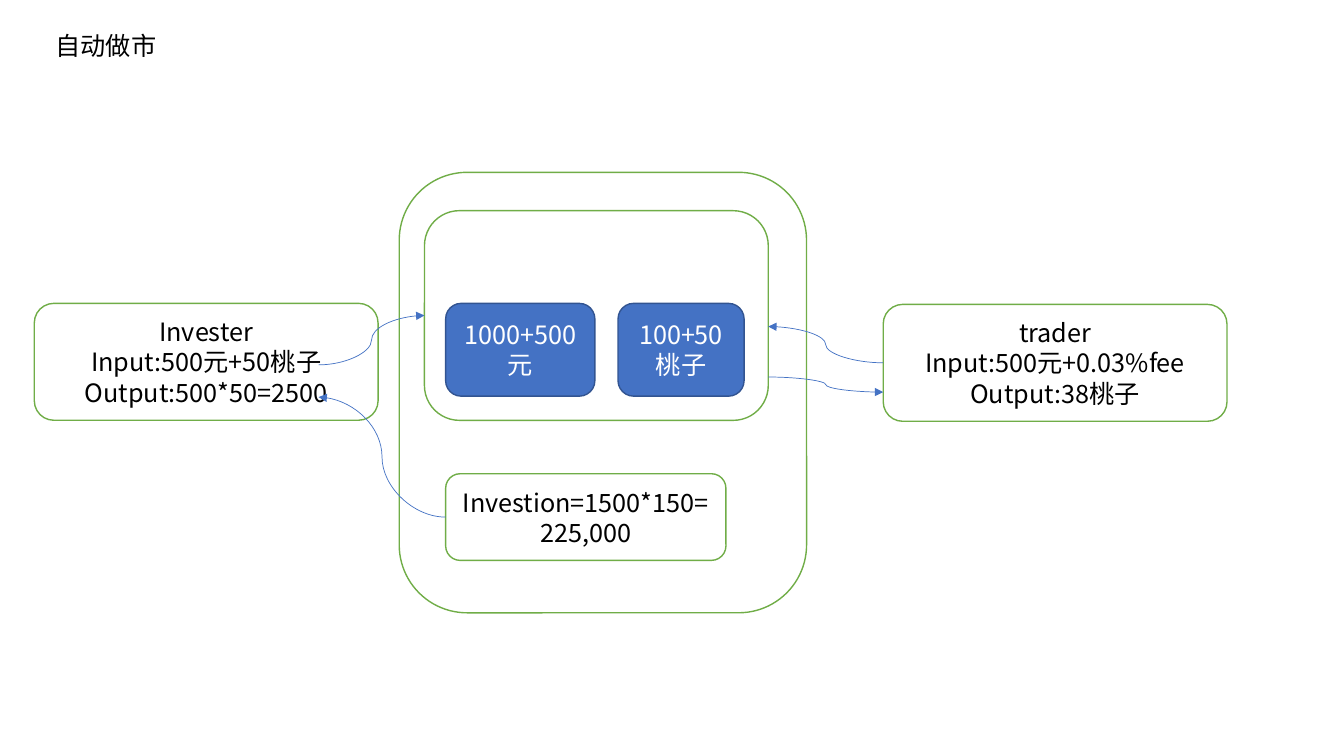
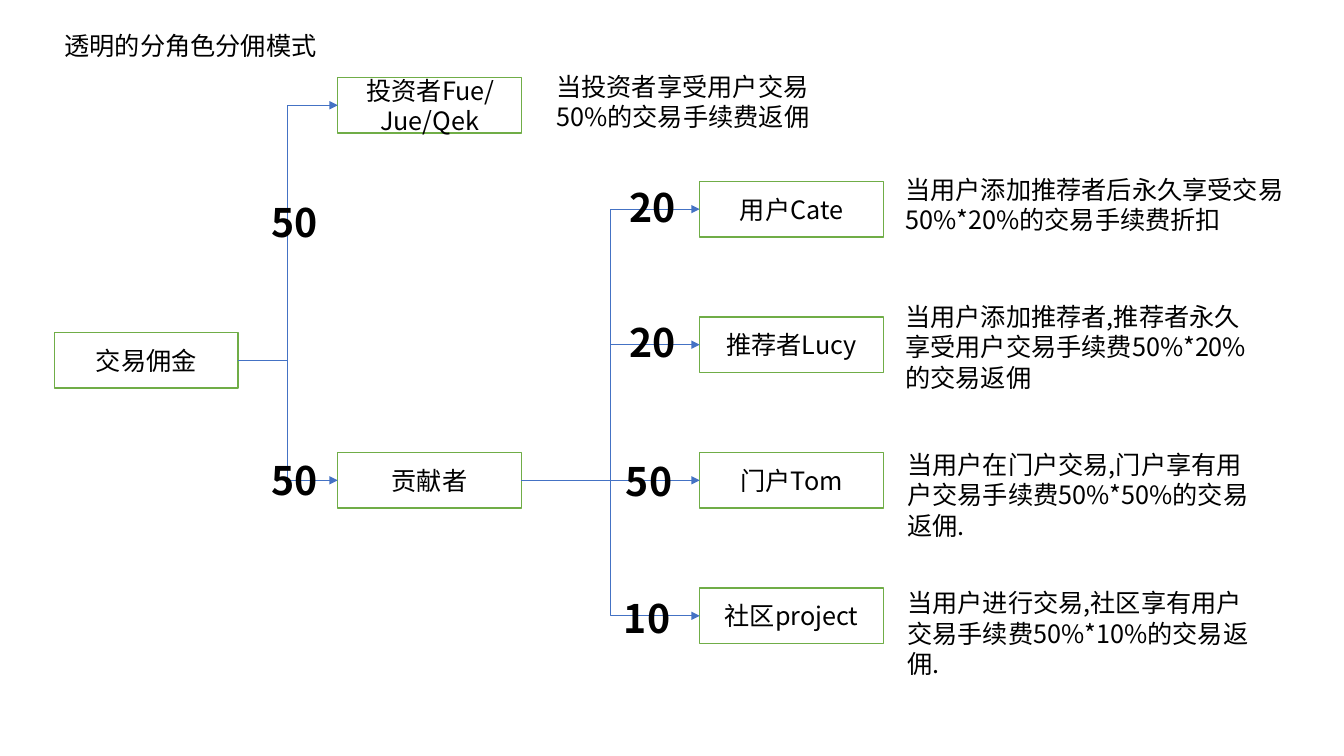
import pptx
import pptx.dml.color
import pptx.enum.shapes
import pptx.enum.text
import pptx.oxml.ns
import pptx.util
from lxml import etree

Inches = pptx.util.Inches
Pt = pptx.util.Pt
SHAPE = pptx.enum.shapes.MSO_SHAPE
CONNECTOR = pptx.enum.shapes.MSO_CONNECTOR
ANCHOR = pptx.enum.text.MSO_ANCHOR
ALIGN = pptx.enum.text.PP_ALIGN
qn = pptx.oxml.ns.qn

FONT = "Noto Sans CJK SC"
BLACK, WHITE = "000000", "FFFFFF"
GREEN, BLUE, DARK_BLUE = "70AD47", "4472C4", "325491"
LEFT_SITE, RIGHT_SITE = 1, 3
NODE_WIDTH, NODE_HEIGHT = 1.82, 0.55


def rgb(color):
    return pptx.dml.color.RGBColor.from_string(color)


def write(frame, text, color=BLACK, size=18, bold=False, align=ALIGN.LEFT):
    frame.text = text
    frame.word_wrap = True
    for paragraph in frame.paragraphs:
        paragraph.alignment = align
        font = paragraph.font
        font.name = FONT
        font.size = Pt(size)
        font.bold = bold
        font.color.rgb = rgb(color)
        defaults = paragraph._p.get_or_add_pPr().find(qn("a:defRPr"))
        east_asian = etree.Element(qn("a:ea"), typeface=FONT)
        defaults.find(qn("a:latin")).addnext(east_asian)


def add_titled_slide(deck, text, left):
    slide = deck.slides.add_slide(deck.slide_layouts[5])
    title = slide.shapes.title
    title.left, title.top = Inches(left), Inches(0.25)
    title.width, title.height = Inches(4), Inches(0.4)
    write(title.text_frame, text)
    title.text_frame.vertical_anchor = ANCHOR.TOP
    title.text_frame.auto_size = pptx.enum.text.MSO_AUTO_SIZE.NONE
    return slide


def add_box(slide, kind, box, text="", fill=WHITE, line=GREEN, color=BLACK):
    shape = slide.shapes.add_shape(kind, *map(Inches, box))
    shape.shadow.inherit = False
    if fill:
        shape.fill.solid()
        shape.fill.fore_color.rgb = rgb(fill)
    else:
        shape.fill.background()
    shape.line.color.rgb = rgb(line)
    shape.line.width = Pt(1)
    if text:
        write(shape.text_frame, text, color, align=ALIGN.CENTER)
        shape.text_frame.vertical_anchor = ANCHOR.MIDDLE
    return shape


def add_node(slide, left, top, text):
    return add_box(slide, SHAPE.RECTANGLE, (left, top, NODE_WIDTH, NODE_HEIGHT), text)


def add_text(slide, box, text, size=18, bold=False):
    frame = slide.shapes.add_textbox(*map(Inches, box)).text_frame
    write(frame, text, size=size, bold=bold)


def add_share(slide, left, top, percent):
    add_text(slide, (left, top, 0.68, 0.57), percent, size=28, bold=True)


def add_arrow(slide, kind, start=(0, 0), end=(0, 0)):
    arrow = slide.shapes.add_connector(kind, *map(Inches, (*start, *end)))
    arrow.line.color.rgb = rgb(BLUE)
    arrow.line.width = Pt(0.5)
    etree.SubElement(arrow.line._get_or_add_ln(), qn("a:tailEnd"), type="triangle")
    etree.SubElement(arrow._element.spPr, qn("a:effectLst"))
    return arrow


def add_branch(slide, parent, child):
    arrow = add_arrow(slide, CONNECTOR.ELBOW)
    arrow.begin_connect(parent, RIGHT_SITE)
    arrow.end_connect(child, LEFT_SITE)


def build_market_making(deck):
    slide = add_titled_slide(deck, "自动做市", 0.45)
    rounded = SHAPE.ROUNDED_RECTANGLE
    add_box(slide, rounded, (4.21, 2.09, 3.41, 2.08))
    add_box(slide, rounded, (3.96, 1.71, 4.04, 4.37), fill=None)
    for left, width, reserve in ((4.42, 1.48, "1000+500\n元"), (6.13, 1.25, "100+50\n桃子")):
        add_box(slide, rounded, (left, 3.01, width, 0.92), reserve, BLUE, DARK_BLUE, WHITE)
    for box, text in (
        ((0.34, 3.01, 3.41, 1.16), "Invester\nInput:500元+50桃子\nOutput:500*50=2500"),
        ((4.42, 4.7, 2.78, 0.86), "Investion=1500*150=225,000"),
        ((8.76, 3.02, 3.41, 1.16), "trader\nInput:500元+0.03%fee\nOutput:38桃子"),
    ):
        add_box(slide, rounded, box, text)
    for start, end in (
        ((3.16, 3.62), (4.21, 3.13)),
        ((4.42, 5.13), (3.16, 3.94)),
        ((8.76, 3.6), (7.62, 3.24)),
        ((7.62, 3.74), (8.76, 3.89)),
    ):
        add_arrow(slide, CONNECTOR.CURVE, start, end)


def build_commission_split(deck):
    slide = add_titled_slide(deck, "透明的分角色分佣模式", 0.54)
    commission = add_node(slide, 0.54, 3.3, "交易佣金")
    investor = add_node(slide, 3.35, 0.77, "投资者Fue/Jue/Qek")
    contributor = add_node(slide, 3.35, 4.49, "贡献者")
    for party, share_top in ((investor, 1.92), (contributor, 4.48)):
        add_branch(slide, commission, party)
        add_share(slide, 2.59, share_top, "50")
    add_text(slide, (5.42, 0.66, 2.73, 1.01), "当投资者享受用户交易\n50%的交易手续费返佣")

    roles = (
        ("用户Cate", "20", (6.14, 1.77), (8.88, 1.68, 3.99, 0.71),
         "当用户添加推荐者后永久享受交易\n50%*20%的交易手续费折扣"),
        ("推荐者Lucy", "20", (6.14, 3.11), (8.88, 2.94, 3.75, 1.01),
         "当用户添加推荐者,推荐者永久享受用户交易手续费50%*20%的交易返佣"),
        ("门户Tom", "50", (6.11, 4.49), (8.9, 4.41, 3.75, 1.01),
         "当用户在门户交易,门户享有用户交易手续费50%*50%的交易返佣."),
        ("社区project", "10", (6.09, 5.85), (8.9, 5.78, 3.75, 1.01),
         "当用户进行交易,社区享有用户交易手续费50%*10%的交易返佣."),
    )
    first_top = 1.8
    pitch = (4.49 - first_top) / 2
    for row, (role, percent, share_at, rule_box, rule) in enumerate(roles):
        node = add_node(slide, 6.94, first_top + row * pitch, role)
        add_branch(slide, contributor, node)
        add_share(slide, *share_at, percent)
        add_text(slide, rule_box, rule)


def main():
    deck = pptx.Presentation()
    deck.slide_width, deck.slide_height = Inches(13.33), Inches(7.5)
    build_market_making(deck)
    build_commission_split(deck)
    deck.save("out.pptx")


if __name__ == "__main__":
    main()
